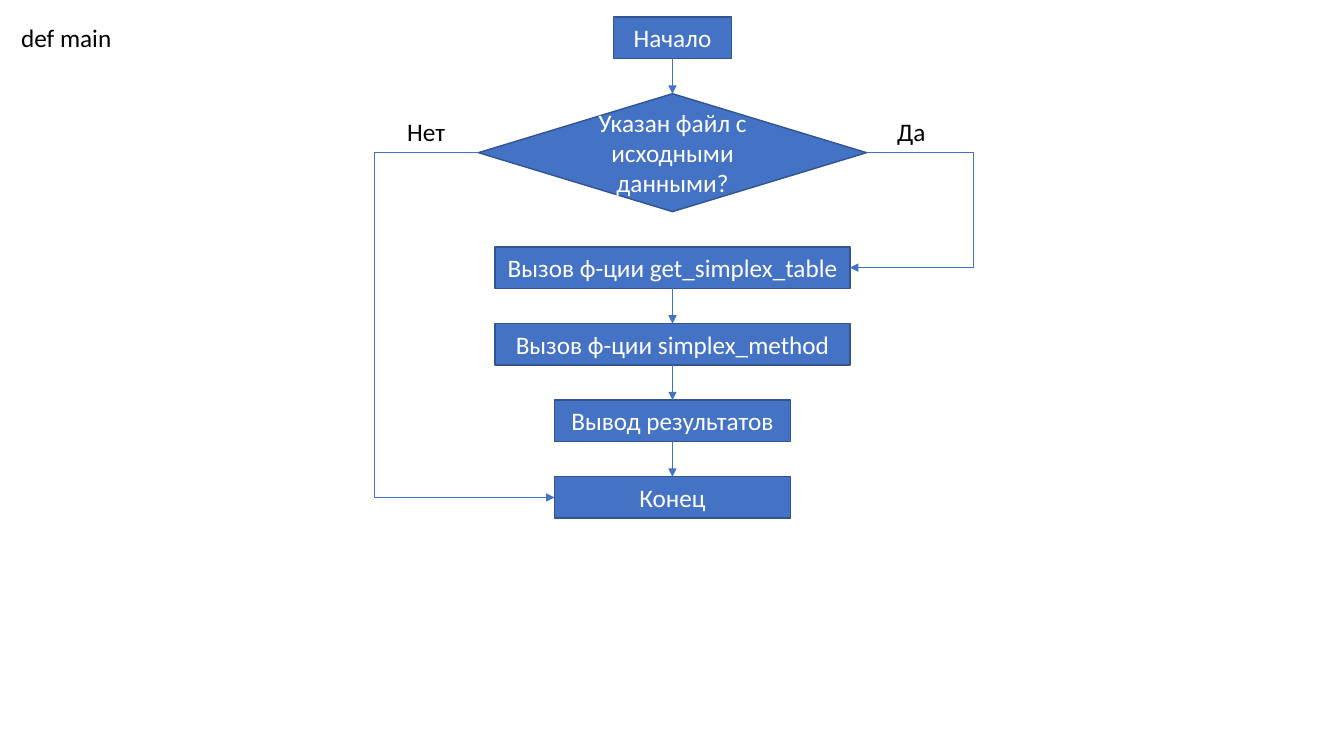
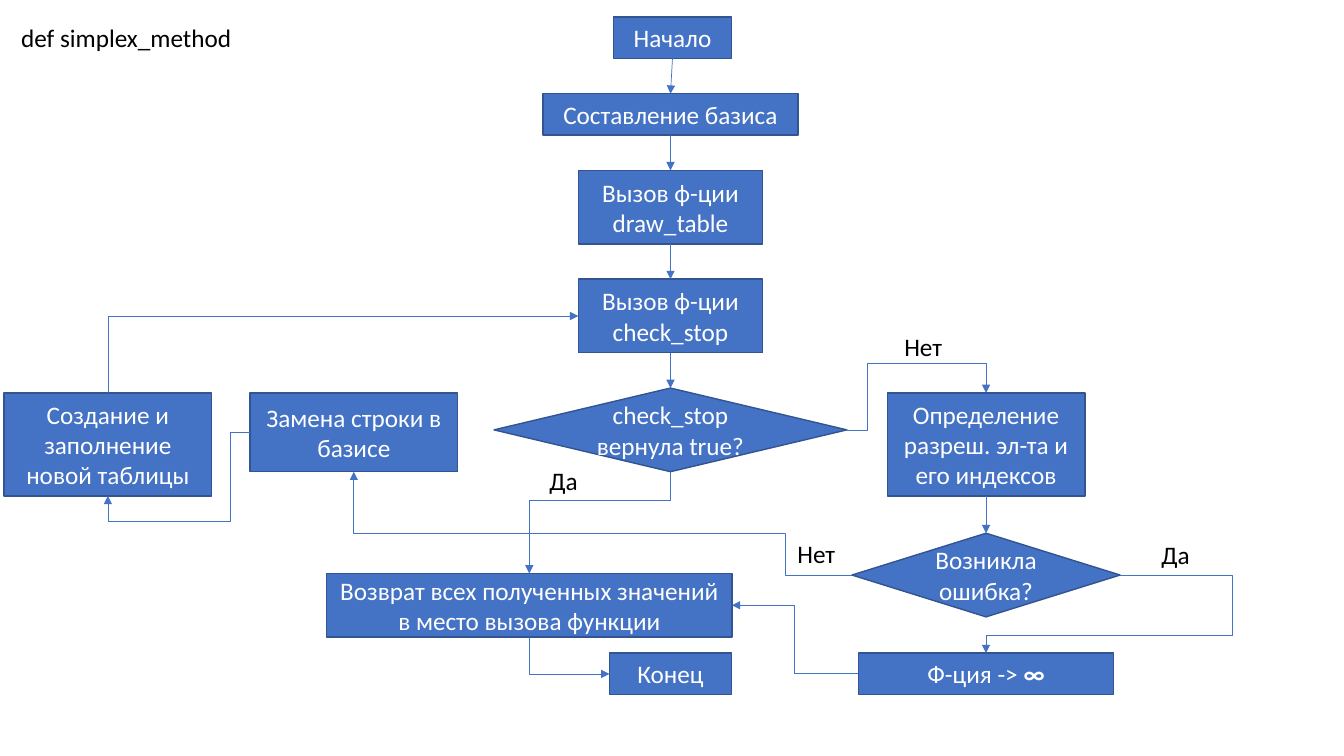
from dataclasses import dataclass
from lxml.etree import SubElement
from pptx import Presentation
from pptx.dml.color import RGBColor
from pptx.enum.shapes import MSO_CONNECTOR as Connector, MSO_SHAPE as Preset
from pptx.enum.text import MSO_ANCHOR as Anchor, MSO_AUTO_SIZE as AutoSize, PP_ALIGN as Align
from pptx.oxml.ns import qn
from pptx.util import Inches, Pt


@dataclass(frozen=True)
class Theme:
    fill: RGBColor = RGBColor.from_string("4472C4")
    outline: RGBColor = RGBColor.from_string("325491")
    light: RGBColor = RGBColor.from_string("FFFFFF")
    dark: RGBColor = RGBColor.from_string("000000")
    font: str = "Calibri"
    size: float = 18
    outline_width: float = 1
    link_width: float = 0.5


THEME = Theme()
ROW, GAP = 0.41, 0.35          # height of a one-line box, space between stacked boxes
STEP, CHOICE = Preset.FLOWCHART_PROCESS, Preset.FLOWCHART_DECISION
SIDES = ("top", "left", "bottom", "right")   # order of the connection sites

# Content
# box: name, preset, text (a second part is bold), centre x, top (None: below the last), width, height
# link: from, side, to, side, then where an elbow turns (x and y by turns)
# label: text, left, top, width
CHARTS = [
    {
        "title": ("def main", 1.12),
        "boxes": [
            ("start", STEP, ["Начало"], 6.67, 0.17, 1.17, ROW),
            ("file given", CHOICE, ["Указан файл с исходными данными?"], 6.67, None, 3.85, 1.17),
            ("get table", STEP, ["Вызов ф-ции get_simplex_table"], 6.67, None, 3.52, ROW),
            ("method", STEP, ["Вызов ф-ции simplex_method"], 6.67, None, 3.52, ROW),
            ("output", STEP, ["Вывод результатов"], 6.67, None, 2.34, ROW),
            ("end", STEP, ["Конец"], 6.67, None, 2.34, ROW),
        ],
        "links": [
            ("start", "bottom", "file given", "top"),
            ("file given", "left", "end", "left", 3.71),
            ("file given", "right", "get table", "right", 9.65),
            ("get table", "bottom", "method", "top"),
            ("method", "bottom", "output", "top"),
            ("output", "bottom", "end", "top"),
        ],
        "labels": [("Да", 8.8, 1.1, 0.49), ("Нет", 3.94, 1.1, 0.58)],
    },
    {
        "title": ("def simplex_method", 2.37),
        "boxes": [
            ("start", STEP, ["Начало"], 6.67, 0.17, 1.17, ROW),
            ("basis", STEP, ["Составление базиса"], 6.65, None, 2.53, ROW),
            ("draw", STEP, ["Вызов ф-ции draw_table"], 6.65, None, 1.83, 0.73),
            ("check", STEP, ["Вызов ф-ции check_stop"], 6.65, None, 1.83, 0.73),
            ("stopped", CHOICE, ["check_stop вернула true?"], 6.65, None, 3.5, 0.83),
            ("pivot", STEP, ["Определение разреш. эл-та и его индексов"], 9.78, 3.9, 1.96, 1.02),
            ("error", CHOICE, ["Возникла ошибка?"], 9.78, 5.29, 2.66, 0.83),
            ("infinity", STEP, ["Ф-ция -> ", "∞"], 9.78, 6.48, 2.53, ROW),
            ("end", STEP, ["Конец"], 6.65, 6.48, 1.21, ROW),
            ("swap", STEP, ["Замена строки в базисе"], 3.51, 3.9, 2.06, 0.78),
            ("new table", STEP, ["Создание и заполнение новой таблицы"], 1.07, 3.9, 2.06, 1.02),
            ("result", STEP, ["Возврат всех полученных значений в место вызова функции"],
             5.25, 5.69, 4.02, 0.63),
        ],
        "links": [
            ("start", "bottom", "basis", "top"),
            ("basis", "bottom", "draw", "top"),
            ("draw", "bottom", "check", "top"),
            ("check", "bottom", "stopped", "top"),
            ("stopped", "bottom", "result", "top", 4.96),
            ("stopped", "right", "pivot", "top", 8.6, 3.6),
            ("pivot", "bottom", "error", "top"),
            ("error", "right", "infinity", "top", 12.22, 6.3),
            ("error", "left", "swap", "bottom", 7.79, 5.29),
            ("swap", "left", "new table", "bottom", 2.29, 5.17),
            ("new table", "top", "check", "left"),
            ("infinity", "left", "result", "right", 7.88),
            ("result", "bottom", "end", "left"),
        ],
        "labels": [("Нет", 8.87, 3.24, 0.58), ("Да", 5.35, 4.57, 0.49),
                   ("Да", 11.42, 5.3, 0.49), ("Нет", 7.81, 5.29, 0.58)],
    },
]


def write(shape, parts, color=THEME.dark, align=Align.LEFT, anchor=Anchor.TOP, wrap=True):
    frame = shape.text_frame
    frame.word_wrap = wrap
    frame.auto_size = AutoSize.NONE
    frame.vertical_anchor = anchor
    para = frame.paragraphs[0]
    para.alignment = align
    for number, part in enumerate(parts):
        span = para.add_run()
        span.text = part
        span.font.name, span.font.size = THEME.font, Pt(THEME.size)
        span.font.bold = number > 0
        span.font.color.rgb = color


def place(shape, left, top, width, height):
    shape.left, shape.top = Inches(left), Inches(top)
    shape.width, shape.height = Inches(width), Inches(height)


def add_box(page, preset, parts, center, top, width, height):
    box = page.shapes.add_shape(preset, Inches(center - width / 2), Inches(top),
                                Inches(width), Inches(height))
    box.shadow.inherit = False
    box.fill.solid()
    box.fill.fore_color.rgb = THEME.fill
    box.line.color.rgb = THEME.outline
    box.line.width = Pt(THEME.outline_width)
    write(box, parts, color=THEME.light, align=Align.CENTER, anchor=Anchor.MIDDLE)
    return box


def site(box, side):
    """Middle of one side of a box, in inches."""
    across = {"left": 0, "right": 1}.get(side, 0.5)
    down = {"top": 0, "bottom": 1}.get(side, 0.5)
    return ((box.left + box.width * across) / Inches(1),
            (box.top + box.height * down) / Inches(1))


def bend(link, start, end, upright, turns):
    """Shape an elbow; one that leaves upright is a level one turned by 90 degrees."""
    across, down = end[0] - start[0], end[1] - start[1]
    width, height = (abs(down), abs(across)) if upright else (abs(across), abs(down))
    place(link, (start[0] + end[0] - width) / 2, (start[1] + end[1] - height) / 2, width, height)
    frame = link._element.spPr.find(qn("a:xfrm"))
    flips = (down < 0, across > 0) if upright else (across < 0, down < 0)
    frame.set("rot", "5400000" if upright else "0")
    for name, flip in zip(("flipH", "flipV"), flips):
        frame.set(name, str(int(flip)))
    outline = link._element.spPr.find(qn("a:prstGeom"))
    outline.set("prst", f"bentConnector{len(turns) + 2}")
    guides = outline.find(qn("a:avLst"))
    for number, turn in enumerate(turns):
        axis = (number + upright) % 2
        share = (turn - start[axis]) / (end[axis] - start[axis])
        SubElement(guides, qn("a:gd"), name=f"adj{number + 1}", fmla=f"val {round(share * 100000)}")


def add_link(page, boxes, source, leave, target, arrive, *turns):
    start, end = site(boxes[source], leave), site(boxes[target], arrive)
    straight = not turns and (leave, arrive) == ("bottom", "top")
    link = page.shapes.add_connector(Connector.STRAIGHT if straight else Connector.ELBOW,
                                     *(Inches(value) for value in start + end))
    link.begin_connect(boxes[source], SIDES.index(leave))
    link.end_connect(boxes[target], SIDES.index(arrive))
    if not straight:
        bend(link, start, end, leave in ("top", "bottom"), turns)
    link.line.color.rgb = THEME.fill
    link.line.width = Pt(THEME.link_width)
    SubElement(link.line._get_or_add_ln(), qn("a:tailEnd"), type="triangle")
    SubElement(link._element.spPr, qn("a:effectLst"))


def add_chart_page(deck, chart):
    page = deck.slides.add_slide(deck.slide_layouts[5])
    # Title
    text, width = chart["title"]
    place(page.shapes.title, 0.11, 0.17, width, 0.4)
    write(page.shapes.title, [text])
    # Boxes
    boxes, below = {}, 0
    for name, preset, parts, center, top, width, height in chart["boxes"]:
        top = below if top is None else top
        boxes[name] = add_box(page, preset, parts, center, top, width, height)
        below = top + height + GAP
    # Links
    for link in chart["links"]:
        add_link(page, boxes, *link)
    # Labels
    for text, left, top, width in chart["labels"]:
        label = page.shapes.add_textbox(0, 0, 0, 0)
        place(label, left, top, width, 0.4)
        write(label, [text], wrap=False)


deck = Presentation()
deck.slide_width, deck.slide_height = Inches(13.33), Inches(7.5)
for chart in CHARTS:
    add_chart_page(deck, chart)
deck.save("out.pptx")
